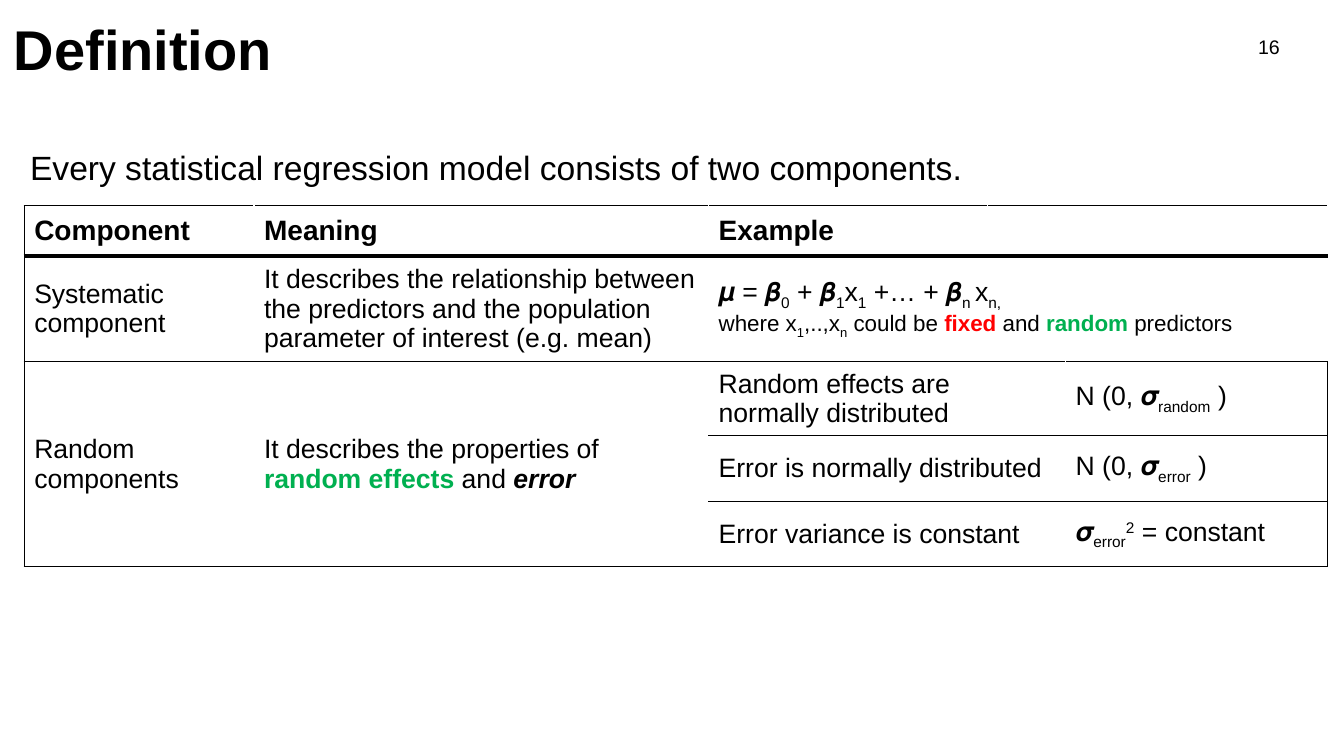
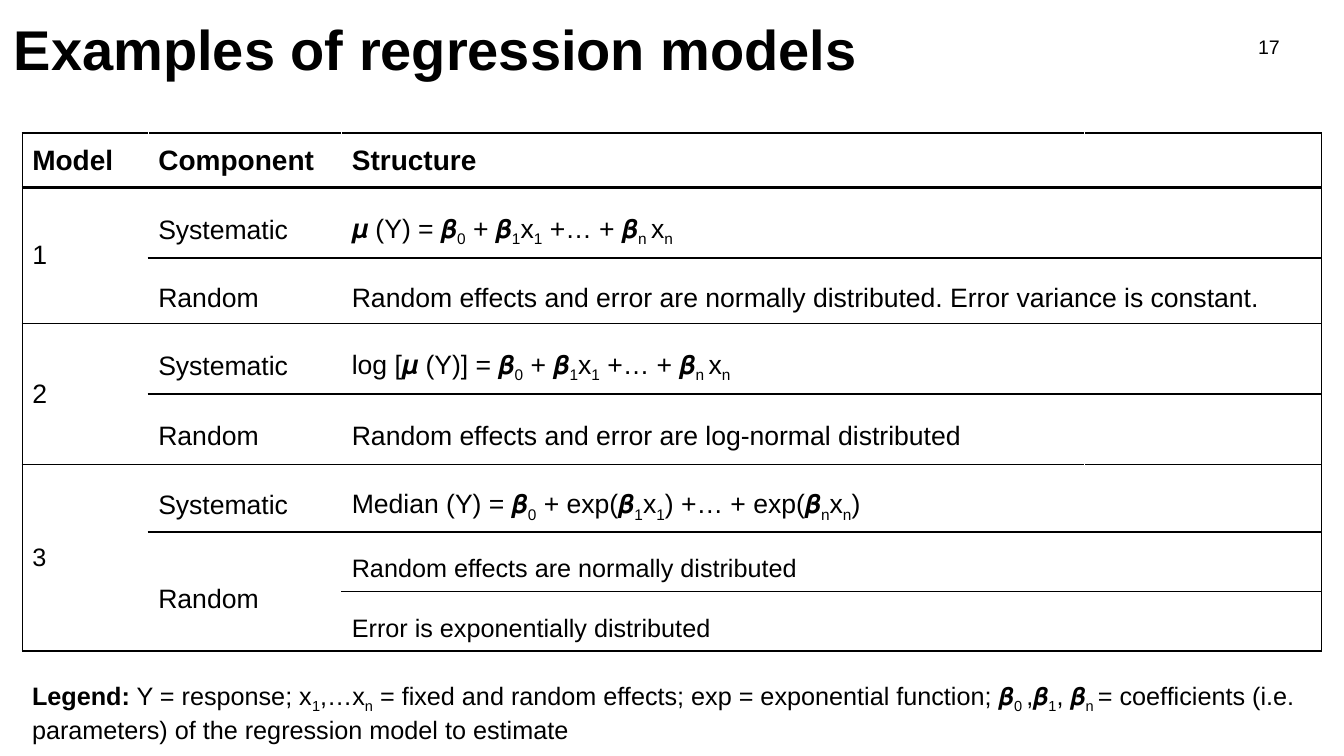
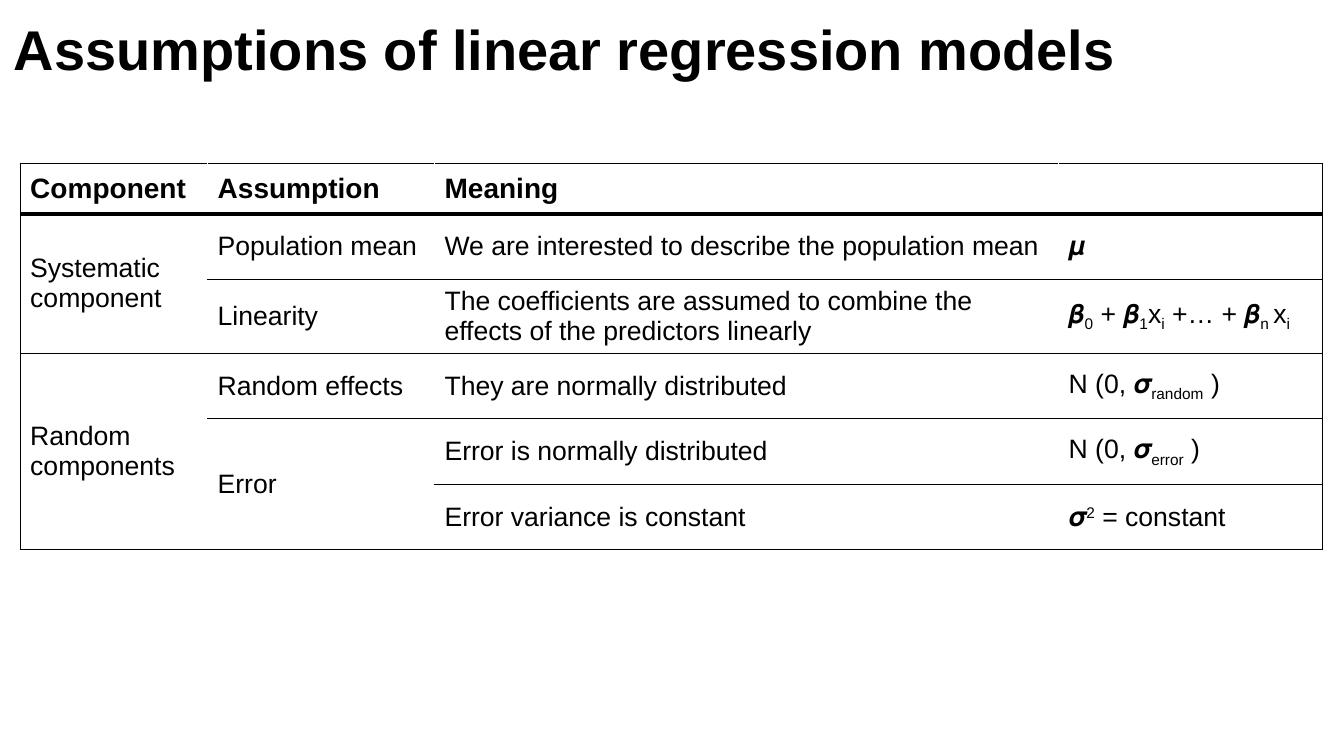
"""Builds three slides on the components and assumptions of regression models."""
from dataclasses import dataclass, field
from enum import Enum

from lxml import etree
from pptx import Presentation
from pptx import util as u
from pptx.dml.color import RGBColor
from pptx.enum import text as t
from pptx.oxml.ns import qn


@dataclass(frozen=True)
class Theme:
    """Colours, type sizes and line widths shared by all slides."""
    font: str = "Arial"
    ink: str = "000000"
    paper: str = "FFFFFF"
    fixed: str = "FF0000"
    random: str = "00B050"
    title: int = 40
    lead: int = 24
    header: int = 20
    body: int = 19
    small: int = 18
    note: int = 16
    page: int = 14
    rule: int = 1
    thick_rule: int = 3


THEME = Theme()
WIDTH, HEIGHT = u.Inches(13.33), u.Inches(7.5)
MARKS = {
    "_": {"baseline": -25000},
    "^": {"baseline": 30000},
    "*": {"bold": True},
    "!": {"bold": True, "color": THEME.fixed},
    "#": {"bold": True, "color": THEME.random},
    "~": {"bold": True, "italic": True},
}


class Join(Enum):
    """Marks a table cell that belongs to its left or upper neighbour."""
    LEFT = "left"
    UP = "up"


LEFT, UP = Join.LEFT, Join.UP


@dataclass(frozen=True)
class Area:
    """A rectangle in percent of the slide's width and height."""
    left: float
    top: float
    width: float
    height: float

    def lengths(self) -> tuple[int, int, int, int]:
        """Return the rectangle in slide units."""
        return across(self.left), down(self.top), across(self.width), down(self.height)


@dataclass(frozen=True)
class Label:
    """A text box with marked-up text."""
    area: Area
    words: str
    size: int
    bold: bool = False
    spacing: float = 1.0
    anchor: t.MSO_ANCHOR = t.MSO_ANCHOR.TOP


@dataclass(frozen=True)
class Grid:
    """A ruled table, with column widths and row heights in percent of the slide."""
    left: float
    top: float
    columns: list[float]
    rows: list[float]
    cells: list[list[str | Join]]
    open_rows: int = 0
    airy: bool = False
    small: set[tuple[int, int]] = field(default_factory=set)


@dataclass(frozen=True)
class Topic:
    """The content of one slide."""
    title: str
    grid: Grid
    page: str = ""
    labels: tuple[Label, ...] = ()


def across(share: float) -> int:
    """Turn a percentage of the slide's width into a length."""
    return round(WIDTH * share / 100)


def down(share: float) -> int:
    """Turn a percentage of the slide's height into a length."""
    return round(HEIGHT * share / 100)


def write_line(para, words: str, size: int, bold: bool = False, spacing: float = 1.0) -> None:
    """Write spans parted by bars, each with an optional leading mark."""
    para.line_spacing = spacing
    for piece in filter(None, words.split("|")):
        style = MARKS.get(piece[0], {})
        span = para.add_run()
        span.text = piece[1:] if style else piece
        look = {"name": THEME.font, "size": u.Pt(size), "bold": bold, "italic": False} | style
        color, baseline = look.pop("color", THEME.ink), look.pop("baseline", 0)
        for name, value in look.items():
            setattr(span.font, name, value)
        span.font.color.rgb = RGBColor.from_string(color)
        if baseline:
            span.font._element.set("baseline", str(baseline))


def draw_label(page, label: Label) -> None:
    """Draw a wrapped text box."""
    frame = page.shapes.add_textbox(*label.area.lengths()).text_frame
    for name, value in {"word_wrap": True, "vertical_anchor": label.anchor}.items():
        setattr(frame, name, value)
    write_line(frame.paragraphs[0], label.words, label.size, label.bold, label.spacing)


def region(cells: list[list[str | Join]], row: int, column: int) -> tuple[int, int, int, int]:
    """Return the first and last row and column of the merged block around a cell."""
    while cells[row][column] is LEFT:
        column -= 1
    while cells[row][column] is UP:
        row -= 1
    last_row, last_column = row, column
    while last_row + 1 < len(cells) and cells[last_row + 1][column] is UP:
        last_row += 1
    while last_column + 1 < len(cells[row]) and cells[row][last_column + 1] is LEFT:
        last_column += 1
    return row, column, last_row, last_column


def draw_border(cell, side: str, width: int, color: str | None) -> None:
    """Rule one side of a cell, or leave it open when there is no colour."""
    line = etree.SubElement(cell._tc.get_or_add_tcPr(), qn(f"a:ln{side}"), w=str(u.Pt(width)))
    if color is None:
        etree.SubElement(line, qn("a:noFill"))
    else:
        fill = etree.SubElement(line, qn("a:solidFill"))
        etree.SubElement(fill, qn("a:srgbClr"), val=color)


def rule_cell(cell, grid: Grid, row: int, column: int) -> None:
    """Rule a cell along the outline of its block."""
    first_row, first_column, last_row, last_column = region(grid.cells, row, column)
    origin = (row, column) == (first_row, first_column)
    closed = last_column == len(grid.columns) - 1 and row >= grid.open_rows
    thick, thin = THEME.thick_rule, THEME.rule
    sides = {
        "L": (column == first_column, thin, THEME.paper if first_column else THEME.ink),
        "R": (column == last_column, thin, THEME.ink if closed else THEME.paper),
        "T": (row == first_row, thick if first_row == 1 else thin, THEME.ink),
        "B": (row == last_row, thin if first_row else thick, THEME.ink),
    }
    for side, (outer, width, color) in sides.items():
        draw_border(cell, side, width, color if outer or origin else None)


def fill_cell(cell, grid: Grid, row: int, column: int) -> None:
    """Write the lines of a cell; lines after the first are set as notes."""
    header = row == 0
    size = THEME.header if header else THEME.small if (row, column) in grid.small else THEME.body
    spacing = 1.5 if grid.airy and row and column else 1.0
    for index, words in enumerate(grid.cells[row][column].split("\n")):
        para = cell.text_frame.add_paragraph() if index else cell.text_frame.paragraphs[0]
        write_line(para, words, THEME.note if index else size, header, spacing)


def draw_grid(page, grid: Grid) -> None:
    """Draw a table with its merged blocks and rules."""
    area = Area(grid.left, grid.top, sum(grid.columns), sum(grid.rows))
    table = page.shapes.add_table(len(grid.rows), len(grid.columns), *area.lengths()).table
    for name in ("first_row", "horz_banding"):
        setattr(table, name, False)
    for column, share in zip(table.columns, grid.columns):
        column.width = across(share)
    for row, share in zip(table.rows, grid.rows):
        row.height = down(share)
    for row, words in enumerate(grid.cells):
        for column, content in enumerate(words):
            cell = table.cell(row, column)
            rule_cell(cell, grid, row, column)
            cell.fill.background()
            cell.vertical_anchor = t.MSO_ANCHOR.MIDDLE
            if isinstance(content, Join):
                continue
            fill_cell(cell, grid, row, column)
            _, _, last_row, last_column = region(grid.cells, row, column)
            if (last_row, last_column) != (row, column):
                cell.merge(table.cell(last_row, last_column))


def draw_topic(deck, topic: Topic) -> None:
    """Add one slide with its title, page number, table and labels."""
    page = deck.slides.add_slide(deck.slide_layouts[6])
    draw_label(page, Label(Area(0.3, 0.27, 99.7, 11.33), topic.title, THEME.title,
                           True, 0.9, t.MSO_ANCHOR.BOTTOM))
    if topic.page:
        draw_label(page, Label(Area(92.87, 4, 4.88, 5.33), topic.page, THEME.page))
    draw_grid(page, topic.grid)
    for label in topic.labels:
        draw_label(page, label)


LINEAR = "𝜷|_0| + 𝜷|_1|x|_1| +… + 𝜷|_n |x|_n"
RANDOM_SPREAD = "N (0, 𝝈|_random| )"
ERROR_SPREAD = "N (0, 𝝈|_error| )"

TOPICS = (
    Topic(
        "Definition",
        Grid(1.8, 27.2, [17.1, 33.83, 20.78, 5.78, 19.5], [6.67] + [8.67] * 4, [
            ["Component", "Meaning", "Example", "", LEFT],
            ["Systematic component",
             "It describes the relationship between the predictors and the population "
             "parameter of interest (e.g. mean)",
             f"𝝁 = {LINEAR},\nwhere x|_1|,..,x|_n| could be |!fixed| and |#random| predictors",
             LEFT, LEFT],
            ["Random components",
             "It describes the properties of |#random effects| and |~error",
             "Random effects are normally distributed", LEFT, RANDOM_SPREAD],
            [UP, UP, "Error is normally distributed", LEFT, ERROR_SPREAD],
            [UP, UP, "Error variance is constant", LEFT, "𝝈|_error|^2| = constant"],
        ], open_rows=2),
        "16",
        (Label(Area(1.5, 16.13, 97.6, 8.4),
               "Every statistical regression model consists of two components.",
               THEME.lead, spacing=1.5),),
    ),
    Topic(
        "Examples of regression models",
        Grid(1.65, 17.6, [9.38, 14.4, 55.29, 17.63],
             [7.2, 9.33, 8.67, 9.33, 9.33, 8.93, 7.87, 7.87], [
            ["Model", "Component", "Structure", ""],
            ["1", "Systematic", f"𝝁 (Y) = {LINEAR}", ""],
            [UP, "Random", "Random effects and error are normally distributed. "
             "Error variance is constant.", LEFT],
            ["2", "Systematic", f"log [𝝁 (Y)] = {LINEAR}", LEFT],
            [UP, "Random", "Random effects and error are log-normal distributed", LEFT],
            ["3", "Systematic",
             "Median (Y) = 𝜷|_0| + exp(𝜷|_1|x|_1|) +… + exp(𝜷|_n|x|_n|)", ""],
            [UP, "Random", "Random effects are normally distributed", ""],
            [UP, UP, "Error is exponentially distributed", ""],
        ], airy=True, small={(5, 0), (6, 2), (7, 2)}),
        "17",
        (Label(Area(1.65, 89.33, 96.1, 9.47),
               "*Legend:| Y = response; x|_1|,…x|_n| = fixed and random effects; "
               "exp = exponential function; 𝜷|_0 |,𝜷|_1|, 𝜷|_n |= coefficients "
               "(i.e. parameters) of the regression model to estimate", THEME.small),),
    ),
    Topic(
        "Assumptions of linear regression models",
        Grid(1.5, 21.6, [13.95, 16.88, 46.44, 19.65], [6.67] + [8.67] * 5, [
            ["Component", "Assumption", "Meaning", ""],
            ["Systematic component", "Population mean",
             "We are interested to describe the population mean", "𝝁"],
            [UP, "Linearity",
             "The coefficients are assumed to combine the effects of the predictors linearly",
             "𝜷|_0| + 𝜷|_1|x|_i| +… + 𝜷|_n |x|_i"],
            ["Random components", "Random effects", "They are normally distributed",
             RANDOM_SPREAD],
            [UP, "Error", "Error is normally distributed", ERROR_SPREAD],
            [UP, UP, "Error variance is constant", "𝝈|^2| = constant"],
        ]),
    ),
)


def main() -> None:
    """Build and save the deck."""
    deck = Presentation()
    deck.slide_width, deck.slide_height = WIDTH, HEIGHT
    for topic in TOPICS:
        draw_topic(deck, topic)
    deck.save("out.pptx")


if __name__ == "__main__":
    main()
